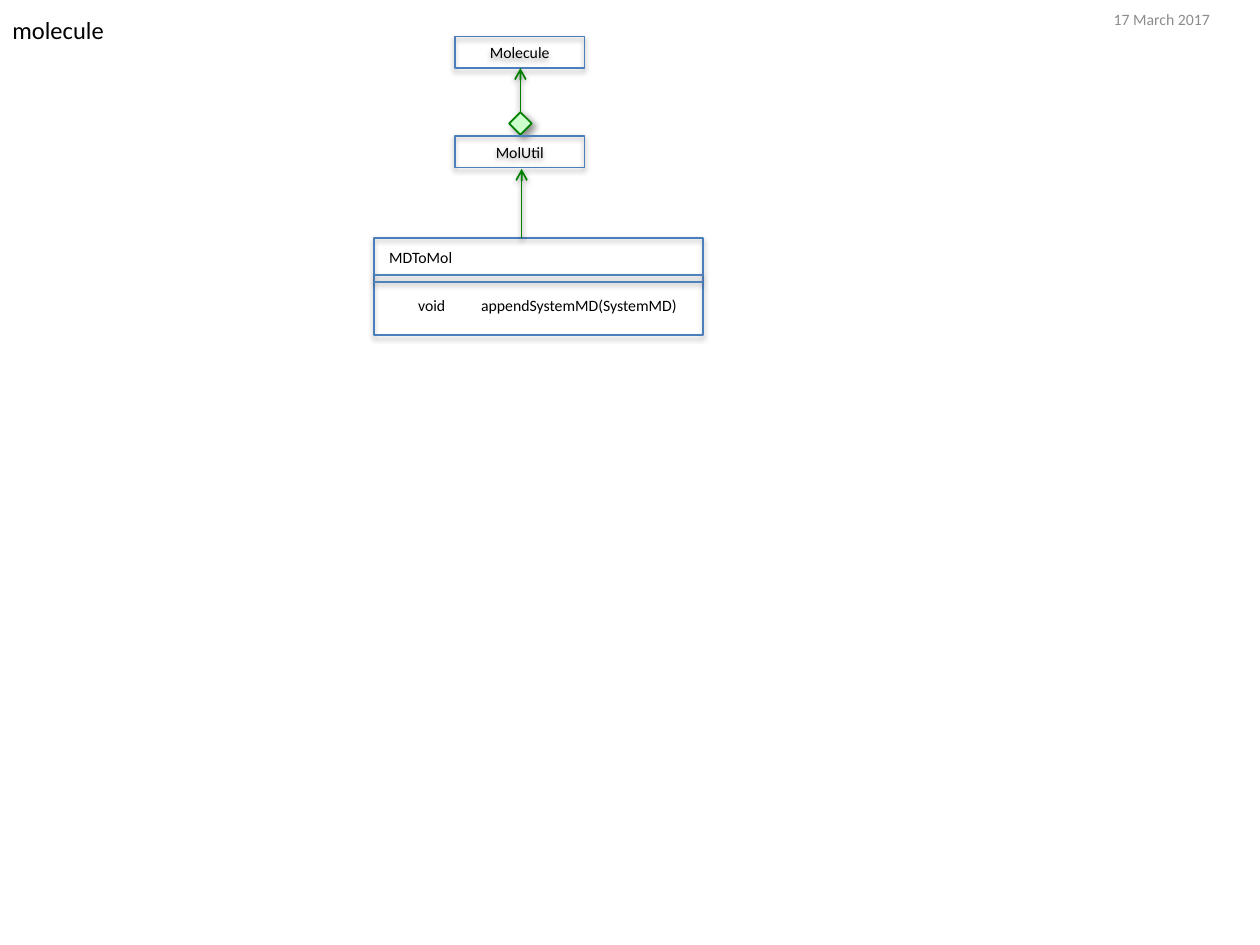
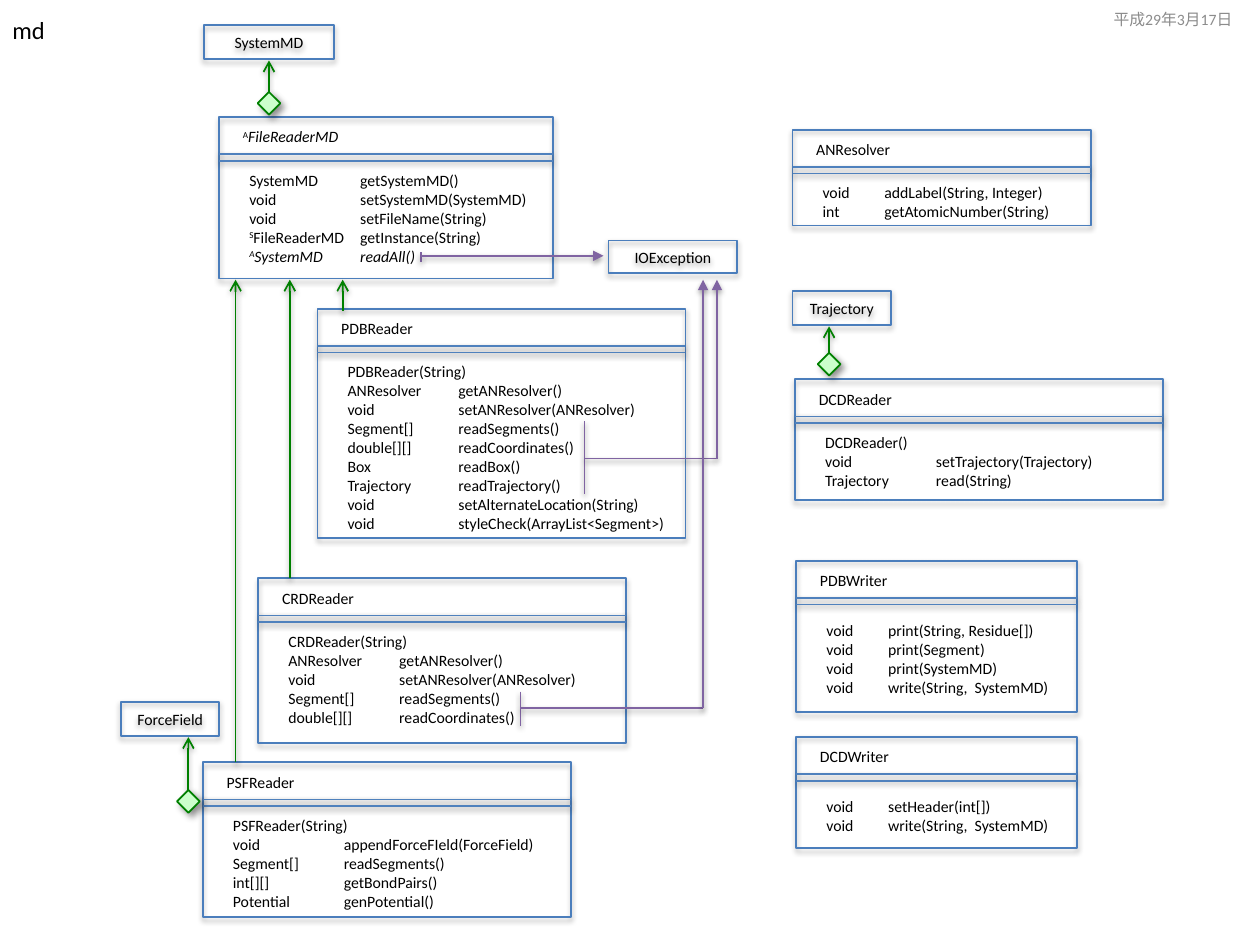
from itertools import pairwise

from lxml.etree import SubElement
from pptx import Presentation
from pptx.dml.color import RGBColor
from pptx.enum.shapes import MSO_CONNECTOR, MSO_SHAPE
from pptx.enum.text import MSO_ANCHOR, MSO_AUTO_SIZE, PP_ALIGN
from pptx.oxml.ns import qn
from pptx.util import Inches, Pt

# Shared look
FONT = "Calibri"
BLACK, GREY = "000000", "8C8C8C"
FRAME, DIVIDER = "4B7EBC", "4F81BD"
GREEN, PALE_GREEN, PURPLE = "008000", "CCFFCC", "8064A2"
# Shadows: opacity in percent, blur and distance in points, direction in degrees
BOX_SHADOW = (35, 3.1, 1.8, 90)
LINE_SHADOW = (38, 3.1, 1.6, 90)
DIAMOND_SHADOW = (43, 4, 3, 45)

# All lengths are in grid cells: the slide is 100 columns by 75 rows
COLUMNS, ROWS = 100, 75
CELL = Inches(0.1)
DIAMOND = 1.8
NAME_BAND, DIVIDER_GAP = 2.95, 0.52

presentation = Presentation()
presentation.slide_width = COLUMNS * CELL
presentation.slide_height = ROWS * CELL


def grid(*cells):
    return [round(cell * CELL) for cell in cells]


def color(value):
    return RGBColor.from_string(value)


def add_shadow(shape, opacity, blur, distance, direction):
    effects = SubElement(shape._element.spPr, qn("a:effectLst"))
    shadow = SubElement(effects, qn("a:outerShdw"), blurRad=str(Pt(blur)),
                        dist=str(Pt(distance)), dir=str(direction * 60000),
                        rotWithShape="0")
    black = SubElement(shadow, qn("a:srgbClr"), val=BLACK)
    SubElement(black, qn("a:alpha"), val=str(opacity * 1000))


def add_line(shapes, start, end, line_color, arrow=None):
    line = shapes.add_connector(MSO_CONNECTOR.STRAIGHT, *grid(*start, *end))
    line.line.color.rgb = color(line_color)
    line.line.width = Pt(1)
    if arrow:
        SubElement(line._element.spPr.find(qn("a:ln")), qn("a:tailEnd"), type=arrow)
    add_shadow(line, *LINE_SHADOW)


def add_outline(shapes, kind, box, line_color, shadow, fill=None):
    shape = shapes.add_shape(kind, *grid(*box))
    if fill:
        shape.fill.solid()
        shape.fill.fore_color.rgb = color(fill)
    else:
        shape.fill.background()
    shape.line.color.rgb = color(line_color)
    shape.line.width = Pt(1)
    add_shadow(shape, *shadow)
    return shape


def style_run(run, size=9, text_color=BLACK):
    run.font.name = FONT
    run.font.size = Pt(size)
    run.font.color.rgb = color(text_color)


def write_member(paragraph, text, slanted_flag=True):
    """Write 'flag^name': the flag is raised, and A (abstract) makes the name italic."""
    flag, _, name = text.rpartition("^")
    abstract = flag == "A"
    if flag:
        run = paragraph.add_run()
        run.text = flag
        style_run(run)
        run.font._element.set("baseline", "30000")
        run.font.italic = abstract and slanted_flag
    run = paragraph.add_run()
    run.text = name
    style_run(run)
    run.font.italic = abstract


def add_text(slide, box, text="", size=9, text_color=BLACK, wrap=True, grow=True):
    text_box = slide.shapes.add_textbox(*grid(*box))
    frame = text_box.text_frame
    frame.word_wrap = wrap
    frame.auto_size = MSO_AUTO_SIZE.SHAPE_TO_FIT_TEXT if grow else MSO_AUTO_SIZE.NONE
    if text:
        frame.text = text
        style_run(frame.paragraphs[0].runs[0], size, text_color)
    return frame


def add_page(title, title_width, date):
    slide = presentation.slides.add_slide(presentation.slide_layouts[6])
    date_frame = add_text(slide, (87.4, 0.1, 12.6, 2.9), date,
                          text_color=GREY, grow=False)
    date_frame.vertical_anchor = MSO_ANCHOR.MIDDLE
    add_text(slide, (0, 0.7, title_width, 3.4), title, size=14, wrap=False)
    return slide


def name_box(slide, box, name):
    """A class shown by its name only."""
    shape = add_outline(slide.shapes, MSO_SHAPE.RECTANGLE, box, FRAME, BOX_SHADOW)
    frame = shape.text_frame
    frame.vertical_anchor = MSO_ANCHOR.MIDDLE
    frame.text = name
    frame.paragraphs[0].alignment = PP_ALIGN.CENTER
    style_run(frame.paragraphs[0].runs[0])


def class_box(slide, box, name, members, tab=0.88, body_top=3.75,
              name_indent=0.9, body_indent=1.4):
    """A class with its name, a double divider and its members."""
    left, top, width, height = box
    shapes = slide.shapes.add_group_shape().shapes
    add_outline(shapes, MSO_SHAPE.RECTANGLE, box, FRAME, BOX_SHADOW)
    for row in (top + NAME_BAND, top + NAME_BAND + DIVIDER_GAP):
        add_line(shapes, (left, row), (left + width, row), DIVIDER)

    name_width = max(8, 2 + 0.63 * len(name))
    heading = add_text(slide, (left + name_indent, top + 0.3, name_width, 2.5))
    write_member(heading.paragraphs[0], name, slanted_flag=False)

    body = add_text(slide, (left + body_indent, top + body_top,
                            width - body_indent, 1 + 1.52 * len(members)))
    for index, member in enumerate(members):
        paragraph = body.add_paragraph() if index else body.paragraphs[0]
        tabs = SubElement(paragraph._p.get_or_add_pPr(), qn("a:tabLst"))
        SubElement(tabs, qn("a:tab"), pos=str(Inches(tab)), algn="l")
        write_member(paragraph, member)


def aggregation(slide, column, diamond_top, tip):
    """A diamond with an arrow up to the class that is held."""
    shapes = slide.shapes.add_group_shape().shapes
    add_line(shapes, (column, diamond_top), (column, tip), GREEN, "arrow")
    add_outline(shapes, MSO_SHAPE.DIAMOND,
                (column - DIAMOND / 2, diamond_top, DIAMOND, DIAMOND),
                GREEN, DIAMOND_SHADOW, PALE_GREEN)


def throws(slide, column, top, bottom, *route):
    """A bar beside the methods, and a route to the exception with an arrow at its end."""
    shapes = slide.shapes.add_group_shape().shapes
    add_line(shapes, (column, top), (column, bottom), PURPLE)
    for start, end in pairwise(route):
        add_line(shapes, start, end, PURPLE, "triangle" if end == route[-1] else None)


def molecule_page():
    slide = add_page("molecule", 9.3, "17 March 2017")
    name_box(slide, (36.1, 2.9, 10.3, 2.5), "Molecule")
    aggregation(slide, 41.3, 8.9, 5.4)
    name_box(slide, (36.1, 10.8, 10.3, 2.5), "MolUtil")
    class_box(slide, (29.7, 18.9, 26.1, 7.7), "MDToMol",
              ["void\tappendSystemMD(SystemMD)"],
              tab=0.5, body_top=4.1, name_indent=0.2, body_indent=2.5)
    add_line(slide.shapes, (41.4, 18.9), (41.4, 13.4), GREEN, "arrow")


def md_page():
    slide = add_page("md", 4.6, "平成29年3月17日")

    # Classes known by name
    name_box(slide, (16.2, 2, 10.3, 2.7), "SystemMD")
    name_box(slide, (48.3, 19.1, 10.2, 2.6), "IOException")
    name_box(slide, (9.6, 55.7, 7.8, 2.7), "ForceField")
    name_box(slide, (62.9, 23.1, 7.8, 2.7), "Trajectory")

    # Readers
    resolver = ["ANResolver\tgetANResolver()", "void\tsetANResolver(ANResolver)"]
    segments = "Segment[]\treadSegments()"
    coordinates = "double[][]\treadCoordinates()"
    class_box(slide, (17.4, 9.3, 26.5, 12.8), "A^FileReaderMD", [
        "SystemMD\tgetSystemMD()",
        "void\tsetSystemMD(SystemMD)",
        "void\tsetFileName(String)",
        "S^FileReaderMD\tgetInstance(String)",
        "A^SystemMD\treadAll()",
    ])
    class_box(slide, (25.2, 24.5, 29.2, 18.2), "PDBReader", [
        "PDBReader(String)", *resolver, segments, coordinates,
        "Box\treadBox()",
        "Trajectory\treadTrajectory()",
        "void\tsetAlternateLocation(String)",
        "void\tstyleCheck(ArrayList<Segment>)",
    ])
    class_box(slide, (20.5, 45.9, 29.2, 13.1), "CRDReader",
              ["CRDReader(String)", *resolver, segments, coordinates])
    class_box(slide, (16.1, 60.5, 29.2, 12.3), "PSFReader", [
        "PSFReader(String)",
        "void\tappendForceFIeld(ForceField)",
        segments,
        "int[][]\tgetBondPairs()",
        "Potential\tgenPotential()",
    ])
    class_box(slide, (63.1, 30.1, 29.2, 9.6), "DCDReader", [
        "DCDReader()",
        "void\tsetTrajectory(Trajectory)",
        "Trajectory\tread(String)",
    ])

    # Resolver and writers
    write = "void\twrite(String,  SystemMD)"
    class_box(slide, (62.9, 10.3, 23.7, 7.6), "ANResolver",
              ["void\taddLabel(String, Integer)", "int\tgetAtomicNumber(String)"],
              tab=0.49)
    class_box(slide, (63.2, 44.5, 22.3, 12), "PDBWriter", [
        "void\tprint(String, Residue[])",
        "void\tprint(Segment)",
        "void\tprint(SystemMD)",
        write,
    ], tab=0.49, body_top=4.25)
    class_box(slide, (63.2, 58.5, 22.3, 8.8), "DCDWriter",
              ["void\tsetHeader(int[])", write], tab=0.49, body_top=4.25)

    # Held classes
    aggregation(slide, 21.35, 7.3, 4.8)
    aggregation(slide, 14.95, 62.7, 58.5)
    aggregation(slide, 65.8, 28, 25.9)

    # Inheritance from the abstract reader
    for column, start in ((27.2, 24.7), (23, 45.9), (18.7, 60.5)):
        add_line(slide.shapes, (column, start), (column, 22.2), GREEN, "arrow")

    # Thrown exceptions
    throws(slide, 33.4, 20, 20.8, (33.4, 20.3), (47.9, 20.3))
    throws(slide, 46.4, 33.4, 39.2, (46.4, 36.4), (56.9, 36.4), (56.9, 22.2))
    throws(slide, 41.3, 54.9, 57.6, (41.3, 56.2), (55.8, 56.2), (55.8, 22.2))


molecule_page()
md_page()
presentation.save("out.pptx")
